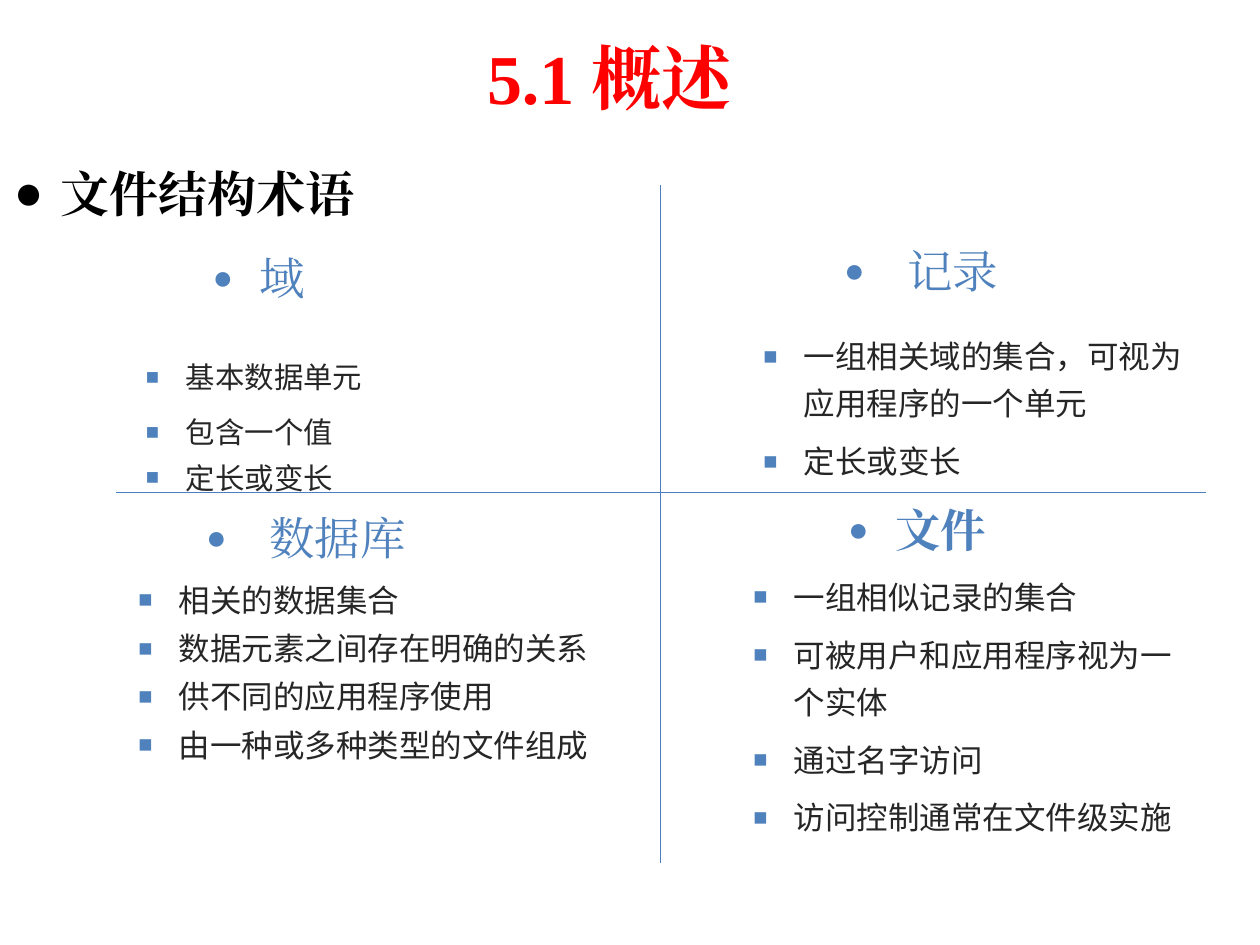
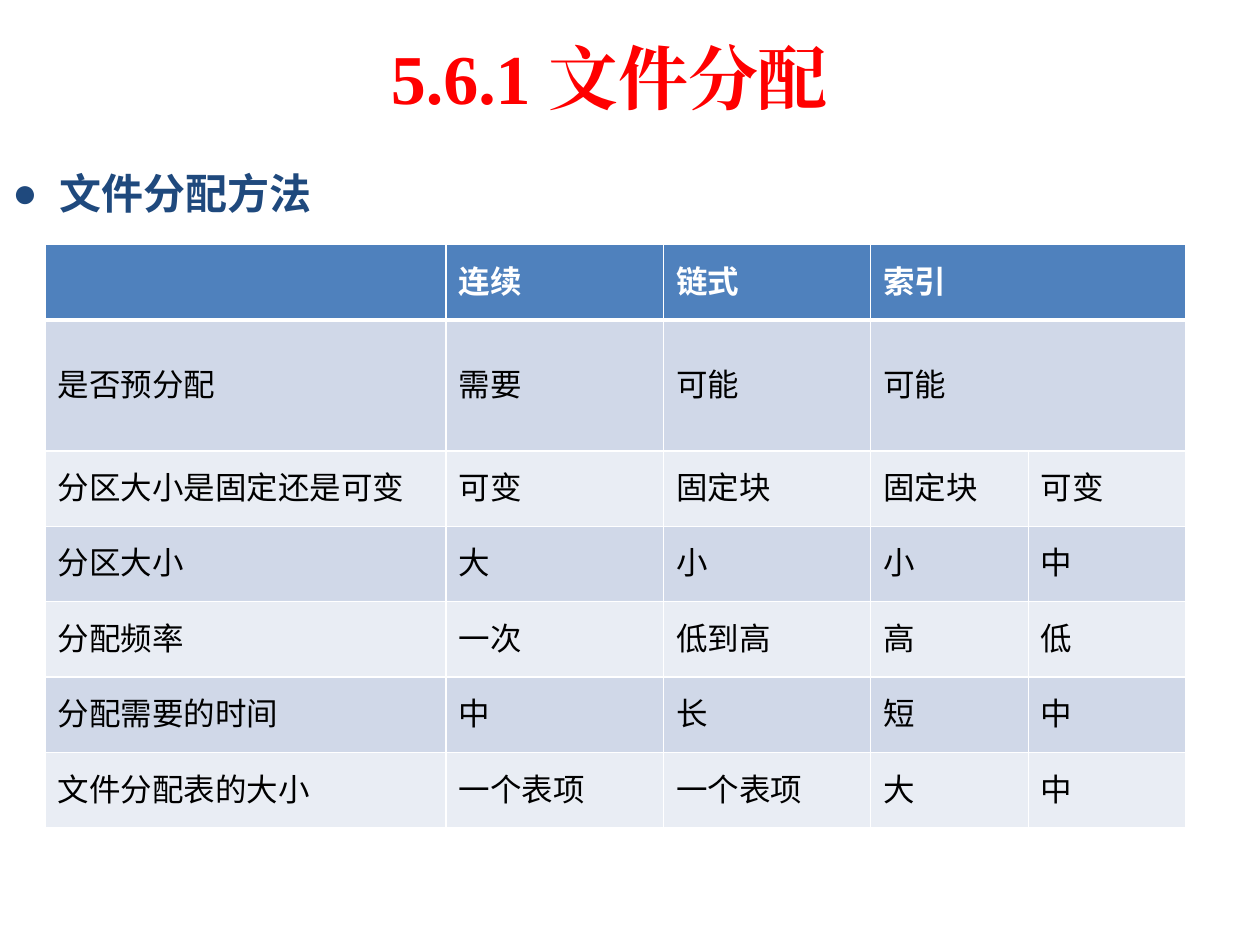
from dataclasses import dataclass

from lxml import etree
from pptx import Presentation
from pptx.dml.color import RGBColor
from pptx.enum.shapes import MSO_CONNECTOR
from pptx.enum.text import MSO_ANCHOR, MSO_AUTO_SIZE, PP_ALIGN
from pptx.oxml.ns import qn
from pptx.util import Cm, Pt

STRAIGHT = MSO_CONNECTOR.STRAIGHT
TOP, MIDDLE = MSO_ANCHOR.TOP, MSO_ANCHOR.MIDDLE
LEFT, CENTER = PP_ALIGN.LEFT, PP_ALIGN.CENTER
NO_AUTOFIT = MSO_AUTO_SIZE.NONE
TITLE_ONLY = 5
DISC, SQUARE = "●", "■"


@dataclass(frozen=True)
class Theme:
    red: str = "FF0000"
    blue: str = "4F81BD"
    navy: str = "1F497D"
    line: str = "4B7EBC"
    black: str = "000000"
    body: str = "262626"
    white: str = "FFFFFF"
    bands: tuple = ("E9EDF4", "D0D8E8")
    title_font: str = "Times New Roman"
    body_font: str = "Calibri"
    table_font: str = "Arial"
    chinese_font: str = "Noto Sans CJK SC"
    title_size: float = 40
    heading_size: float = 28
    subheading_size: float = 24
    term_size: float = 26
    body_size: float = 18
    small_size: float = 16.8


THEME = Theme()


def add_child(parent, tag, **attributes):
    return etree.SubElement(parent, qn(tag), attributes)


def add_bullet(paragraph, character, color, percent, hanging):
    properties = paragraph._p.get_or_add_pPr()
    left, first = hanging
    properties.set("marL", str(Cm(left)))
    properties.set("indent", str(-Cm(first)))
    if color:
        add_child(add_child(properties, "a:buClr"), "a:srgbClr", val=color)
    add_child(properties, "a:buSzPct", val=str(percent * 1000))
    add_child(properties, "a:buFont", typeface="Arial")
    add_child(properties, "a:buChar", char=character)


def write_text(paragraph, text, *, size, color, font, bold=False, align=LEFT,
               line_spacing=None, space_before=0):
    paragraph.alignment = align
    paragraph.space_before = Pt(space_before)
    if line_spacing:
        paragraph.line_spacing = line_spacing
    run = paragraph.add_run()
    run.text = text
    run.font.size = Pt(size)
    run.font.bold = bold
    run.font.name = font
    run.font.color.rgb = RGBColor.from_string(color)
    add_child(run._r.get_or_add_rPr(), "a:ea", typeface=font)


class Deck:
    def __init__(self, theme):
        self.theme = theme
        self.presentation = Presentation()
        self.presentation.slide_width = Cm(25.4)
        self.presentation.slide_height = Cm(19.05)
        self.slide = None

    def add_slide(self, title):
        layout = self.presentation.slide_layouts[TITLE_ONLY]
        self.slide = self.presentation.slides.add_slide(layout)
        shape = self.slide.shapes.title
        shape.left, shape.top, shape.width, shape.height = map(Cm, (2.34, 0.76, 19.89, 1.57))
        frame = shape.text_frame
        frame.auto_size = NO_AUTOFIT
        frame.vertical_anchor = MIDDLE
        write_text(frame.paragraphs[0], title, size=self.theme.title_size, align=CENTER,
                   color=self.theme.red, font=self.theme.title_font, bold=True)

    def bullets(self, box, texts, *, character, hanging, bullet_color=None, percent=100,
                anchor=TOP, inset=0.13, **text_format):
        frame = self.slide.shapes.add_textbox(*map(Cm, box)).text_frame
        frame.word_wrap = True
        frame.vertical_anchor = anchor
        frame.margin_top = Cm(inset)
        for index, text in enumerate(texts):
            paragraph = frame.add_paragraph() if index else frame.paragraphs[0]
            write_text(paragraph, text, **text_format)
            add_bullet(paragraph, character, bullet_color, percent, hanging)
        return frame

    def heading(self, box, text, **text_format):
        self.bullets(box, [text], character=DISC, hanging=(0.95, 0.95), bold=True, **text_format)

    def term(self, box, text, hanging=0.95, **options):
        self.bullets(box, [text], character=DISC, hanging=(hanging, hanging),
                     bullet_color=self.theme.blue, percent=75, size=self.theme.term_size,
                     color=self.theme.blue, font=self.theme.title_font, align=CENTER,
                     line_spacing=Pt(30), space_before=3, **options)

    def details(self, box, texts, size=THEME.body_size, **options):
        return self.bullets(box, texts, character=SQUARE, hanging=(1.6, 0.81),
                            bullet_color=self.theme.blue, percent=75, size=size,
                            color=self.theme.body, font=self.theme.body_font,
                            space_before=6, **options)

    def line(self, *ends):
        connector = self.slide.shapes.add_connector(STRAIGHT, *map(Cm, ends))
        connector.line.color.rgb = RGBColor.from_string(self.theme.line)
        connector.line.width = Pt(0.75)
        add_child(connector._element.spPr, "a:effectLst")

    def cell(self, cell, text, row):
        header = row == 0
        properties = cell._tc.get_or_add_tcPr()
        widths = {"L": 1, "R": 1, "T": 3 if row == 1 else 1, "B": 3 if header else 1}
        for side, width in widths.items():
            border = add_child(properties, f"a:ln{side}", w=str(Pt(width)))
            add_child(add_child(border, "a:solidFill"), "a:srgbClr", val=self.theme.white)
        cell.fill.solid()
        fill = self.theme.blue if header else self.theme.bands[row % 2]
        cell.fill.fore_color.rgb = RGBColor.from_string(fill)
        cell.vertical_anchor = MIDDLE
        if text:
            write_text(cell.text_frame.paragraphs[0], text, size=self.theme.body_size,
                       color=self.theme.white if header else self.theme.black,
                       font=self.theme.table_font, bold=header)

    def table(self, left, top, widths, heights, rows):
        table = self.slide.shapes.add_table(
            len(rows), len(widths), Cm(left), Cm(top), Cm(sum(widths)), Cm(sum(heights))).table
        for column, width in zip(table.columns, widths):
            column.width = Cm(width)
        for row_index, (values, height) in enumerate(zip(rows, heights)):
            table.rows[row_index].height = Cm(height)
            for column_index in range(len(widths)):
                text = values[column_index] if column_index < len(values) else ""
                self.cell(table.cell(row_index, column_index), text, row_index)
            if len(values) < len(widths):
                table.cell(row_index, len(values) - 1).merge(
                    table.cell(row_index, len(widths) - 1))


def add_terms_slide(deck):
    deck.add_slide("5.1 概述")
    deck.heading((0.03, 2.87, 23.22, 2.06), "文件结构术语", size=THEME.heading_size,
                 color=THEME.black, font=THEME.title_font, line_spacing=1.25, space_before=5.6)

    deck.term((0.51, 4.95, 9.42, 1.78), "域")
    field = deck.details((1.9, 6.07, 9.8, 3.63), ["基本数据单元", "包含一个值", "定长或变长"],
                         size=THEME.small_size, inset=1.17)
    field.paragraphs[1].line_spacing = 1.25

    deck.term((13.49, 4.52, 10.16, 2.03), "记录", hanging=1.27, anchor=MIDDLE, inset=0)
    deck.details((14.35, 6.48, 10.16, 3.25),
                 ["一组相关域的集合，可视为应用程序的一个单元", "定长或变长"], line_spacing=1.25)

    deck.term((1.09, 9.91, 10.16, 2.03), "数据库", hanging=1.27, anchor=MIDDLE, inset=0)
    deck.details((1.75, 11.58, 10.52, 3.99),
                 ["相关的数据集合", "数据元素之间存在明确的关系",
                  "供不同的应用程序使用", "由一种或多种类型的文件组成"])

    deck.term((16.51, 10.03, 3.96, 2.03), "文件", bold=True)
    deck.details((14.15, 11.33, 10.16, 5.61),
                 ["一组相似记录的集合", "可被用户和应用程序视为一个实体",
                  "通过名字访问", "访问控制通常在文件级实施"], line_spacing=1.25)

    deck.line(13.31, 3.73, 13.31, 17.4)
    deck.line(2.34, 9.93, 24.31, 9.93)


def add_allocation_slide(deck):
    deck.add_slide("5.6.1 文件分配")
    deck.table(0.91, 4.93, [8.08, 4.39, 4.17, 3.18, 3.18], [1.52, 2.64] + [1.52] * 5, [
        ["", "连续", "链式", "索引"],
        ["是否预分配", "需要", "可能", "可能"],
        ["分区大小是固定还是可变", "可变", "固定块", "固定块", "可变"],
        ["分区大小", "大", "小", "小", "中"],
        ["分配频率", "一次", "低到高", "高", "低"],
        ["分配需要的时间", "中", "长", "短", "中"],
        ["文件分配表的大小", "一个表项", "一个表项", "大", "中"],
    ])
    deck.heading((0, 2.79, 25.4, 2.51), "文件分配方法", size=THEME.subheading_size,
                 color=THEME.navy, font=THEME.chinese_font, line_spacing=1.45, space_before=4.8)


def main():
    deck = Deck(THEME)
    add_terms_slide(deck)
    add_allocation_slide(deck)
    deck.presentation.save("out.pptx")


if __name__ == "__main__":
    main()
